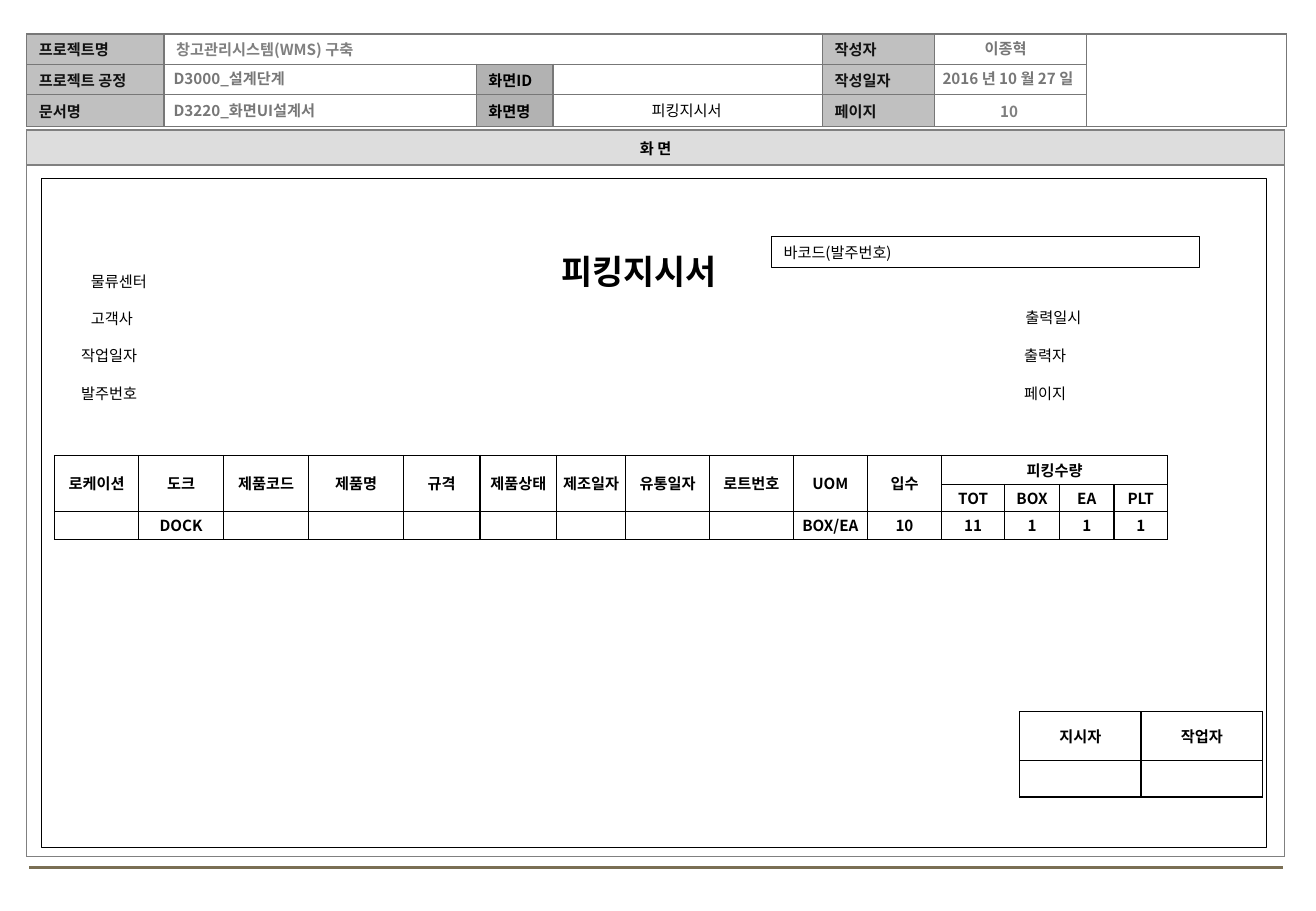
"""Build the picking instruction screen design slide."""
from dataclasses import dataclass, field

from lxml import etree
from pptx import Presentation
from pptx.dml.color import RGBColor
from pptx.enum.shapes import MSO_CONNECTOR, MSO_SHAPE
from pptx.enum.text import MSO_ANCHOR, MSO_AUTO_SIZE, PP_ALIGN
from pptx.oxml.ns import qn
from pptx.slide import Slide
from pptx.text.text import Font, TextFrame
from pptx.util import Emu, Pt

FONT_NAME = "Noto Sans CJK KR"
EMU_PER_PX = 9144
BLACK, GRAY, LABEL_INK = "000000", "777777", "111111"
LABEL_FILL, SCREEN_FILL = "C0C0C0", "B2B2B2"
LABEL_HEIGHT = 25


@dataclass(frozen=True)
class Label:
    text: str
    left: int
    top: int
    width: int
    color: str = BLACK
    bold: bool = False
    centered: bool = False
    outlined: bool = False


@dataclass(frozen=True)
class Grid:
    left: int
    top: int
    widths: list[int]
    heights: list[int]
    texts: list[list[str]]
    border: str = BLACK
    margin: int = 1
    centered: bool = True
    merges: list[tuple[int, int, int, int]] = field(default_factory=list)
    fills: dict[tuple[int, int], str] = field(default_factory=dict)
    inks: dict[int, str] = field(default_factory=dict)


HEADER = Grid(
    22, 28, [113, 257, 63, 222, 92, 125, 165], [25, 25, 26],
    [["프로젝트명", "창고관리시스템(WMS) 구축", "", "", "작성자", "", ""],
     ["프로젝트 공정", "", "화면ID", "", "작성일자", "", ""],
     ["문서명", "", "화면명", "", "페이지", "", ""]],
    border=GRAY, margin=10, centered=False,
    merges=[(0, 1, 0, 3), (0, 6, 2, 6)],
    fills={(row, column): fill for row in range(3)
           for column, fill in ((0, LABEL_FILL), (2, SCREEN_FILL), (4, LABEL_FILL))},
    inks={0: LABEL_INK, 1: "808080", 4: LABEL_INK},
)
SCREEN = Grid(22, 107, [1035], [29, 569], [["화 면"], [""]],
              border="808080", fills={(0, 0): "DDDDDD"})
PICKING = Grid(
    45, 375, [69, 70, 70, 78, 63, 63, 57, 69, 69, 61, 61, 52, 45, 45, 44], [24, 22, 23],
    [["로케이션", "도크", "제품코드", "제품명", "규격", "제품상태", "제조일자", "유통일자",
      "로트번호", "UOM", "입수", "피킹수량", "", "", ""],
     [""] * 11 + ["TOT", "BOX", "EA", "PLT"],
     ["", "DOCK"] + [""] * 7 + ["BOX/EA", "10", "11", "1", "1", "1"]],
    merges=[(0, column, 1, column) for column in range(11)] + [(0, 11, 0, 14)],
)
APPROVAL = Grid(839, 586, [100, 100], [40, 30], [["지시자", "작업자"], ["", ""]])

LABELS = [
    Label("D3000_설계단계", 133, 52, 542, GRAY, bold=True),
    Label("D3220_화면UI설계서", 133, 78, 541, GRAY, bold=True),
    Label("10", 768, 79, 125, "7F7F7F", bold=True, centered=True),
    Label("피킹지시서", 456, 78, 218, centered=True),
    Label("2016 년 10 월 27 일", 751, 52, 157, GRAY, bold=True, centered=True),
    Label("이종혁", 749, 27, 157, GRAY, bold=True, centered=True),
    Label("물류센터", 65, 219, 86),
    Label("고객사", 65, 250, 86),
    Label("작업일자", 57, 280, 86),
    Label("발주번호", 57, 311, 86),
    Label("출력일시", 834, 249, 86),
    Label("출력자", 833, 280, 86),
    Label("페이지", 833, 311, 86),
    Label("바코드(발주번호)", 635, 195, 352, outlined=True),
]


def px(length: int) -> Emu:
    """Turn px into EMU."""
    return Emu(length * EMU_PER_PX)


def rgb(color: str) -> RGBColor:
    """Turn a hex string into a colour."""
    return RGBColor.from_string(color)


def write_text(frame: TextFrame, text: str, size: int, color: str, bold: bool,
               centered: bool) -> None:
    """Write one formatted paragraph, keeping the size when it is empty."""
    frame.text = text
    paragraph = frame.paragraphs[0]
    paragraph.alignment = PP_ALIGN.CENTER if centered else PP_ALIGN.LEFT
    properties = [run._r.get_or_add_rPr() for run in paragraph.runs]
    for element in properties or [paragraph._p.get_or_add_endParaRPr()]:
        font = Font(element)
        font.size, font.bold, font.name = Pt(size), bold, FONT_NAME
        font.color.rgb = rgb(color)
        etree.SubElement(element, qn("a:ea"), typeface=FONT_NAME)


def set_box(frame: TextFrame, side: int, wrap: bool) -> None:
    """Set the margins, wrapping and anchor of a text frame."""
    frame.auto_size = MSO_AUTO_SIZE.NONE
    frame.word_wrap = wrap
    frame.vertical_anchor = MSO_ANCHOR.MIDDLE
    frame.margin_left = frame.margin_right = px(side)
    frame.margin_top = frame.margin_bottom = 0


def add_outlined_box(slide: Slide, left: int, top: int, width: int, height: int):
    """Add an unfilled rectangle with a thin black outline."""
    shape = slide.shapes.add_shape(MSO_SHAPE.RECTANGLE, px(left), px(top), px(width), px(height))
    shape.shadow.inherit = False
    shape.fill.background()
    shape.line.color.rgb = rgb(BLACK)
    shape.line.width = Pt(0.75)
    return shape


def add_label(slide: Slide, label: Label) -> None:
    """Add a one-line label, boxed when it is outlined."""
    box = (label.left, label.top, label.width, LABEL_HEIGHT)
    if label.outlined:
        shape = add_outlined_box(slide, *box)
    else:
        shape = slide.shapes.add_textbox(*map(px, box))
    set_box(shape.text_frame, 10, True)
    write_text(shape.text_frame, label.text, 9, label.color, label.bold, label.centered)


def add_borders(cell, color: str) -> None:
    """Draw a solid border on all four sides of a cell."""
    properties = cell._tc.get_or_add_tcPr()
    for side in ("L", "R", "T", "B"):
        line = etree.SubElement(properties, qn(f"a:ln{side}"), w=str(Pt(1)))
        fill = etree.SubElement(line, qn("a:solidFill"))
        etree.SubElement(fill, qn("a:srgbClr"), val=color)


def add_grid(slide: Slide, grid: Grid) -> None:
    """Add a bordered table with its texts, fills and merged cells."""
    table = slide.shapes.add_table(
        len(grid.heights), len(grid.widths), px(grid.left), px(grid.top),
        px(sum(grid.widths)), px(sum(grid.heights))).table
    table.first_row = table.horz_banding = False
    for column, width in zip(table.columns, grid.widths):
        column.width = px(width)
    for row, height in zip(table.rows, grid.heights):
        row.height = px(height)
    for row_index, texts in enumerate(grid.texts):
        for column_index, text in enumerate(texts):
            cell = table.cell(row_index, column_index)
            cell.vertical_anchor = MSO_ANCHOR.MIDDLE
            cell.margin_left = cell.margin_right = px(grid.margin)
            cell.margin_top = cell.margin_bottom = 0
            write_text(cell.text_frame, text, 9, grid.inks.get(column_index, BLACK),
                       True, grid.centered)
            add_borders(cell, grid.border)
            fill = grid.fills.get((row_index, column_index))
            if fill:
                cell.fill.solid()
                cell.fill.fore_color.rgb = rgb(fill)
            else:
                cell.fill.background()
    for top, left, bottom, right in grid.merges:
        table.cell(top, left).merge(table.cell(bottom, right))


def add_footer_line(slide: Slide) -> None:
    """Add the line along the bottom of the slide."""
    line = slide.shapes.add_connector(MSO_CONNECTOR.STRAIGHT, px(24), px(714), px(1056), px(714))
    line.line.color.rgb = rgb("7A6F54")
    line.line.width = Pt(1.75)
    etree.SubElement(line._element.spPr, qn("a:effectLst"))


def main() -> None:
    """Build and save the slide."""
    presentation = Presentation()
    presentation.slide_width, presentation.slide_height = px(1083), px(750)
    slide = presentation.slides.add_slide(presentation.slide_layouts[5])
    title = slide.shapes.title
    title.left, title.top, title.width, title.height = map(px, (460, 202, 144, 42))
    set_box(title.text_frame, 2, False)
    write_text(title.text_frame, "피킹지시서", 20, BLACK, True, False)
    add_footer_line(slide)
    for grid in (HEADER, SCREEN, PICKING, APPROVAL):
        add_grid(slide, grid)
    add_outlined_box(slide, 34, 147, 1008, 551)
    for label in LABELS:
        add_label(slide, label)
    presentation.save("out.pptx")


if __name__ == "__main__":
    main()
